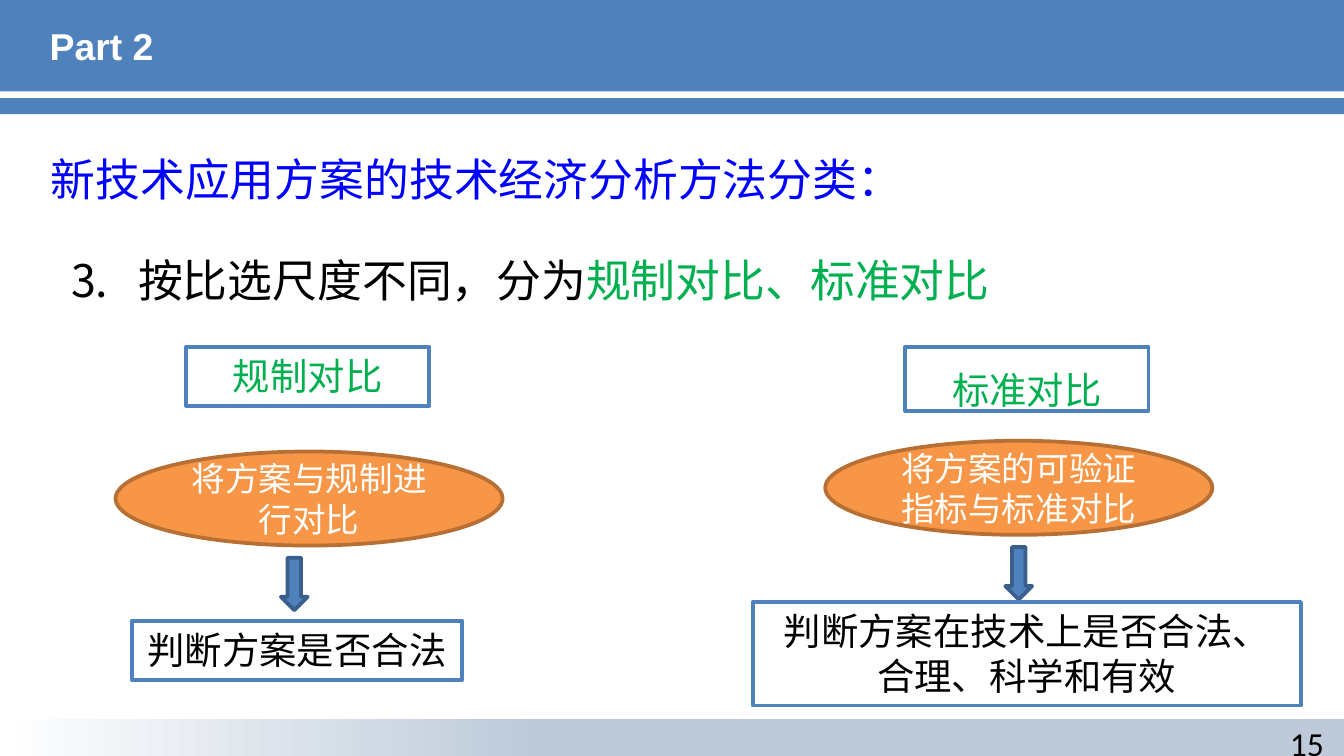
from lxml import etree
from pptx import Presentation
from pptx.dml.color import RGBColor
from pptx.enum.shapes import MSO_SHAPE
from pptx.enum.text import MSO_ANCHOR, PP_ALIGN
from pptx.oxml.ns import qn
from pptx.util import Inches, Pt

RECTANGLE, ELLIPSE, DOWN_ARROW = MSO_SHAPE.RECTANGLE, MSO_SHAPE.OVAL, MSO_SHAPE.DOWN_ARROW
LEFT, CENTER, RIGHT = PP_ALIGN.LEFT, PP_ALIGN.CENTER, PP_ALIGN.RIGHT
TOP, MIDDLE = MSO_ANCHOR.TOP, MSO_ANCHOR.MIDDLE

WIDTH, HEIGHT = 10, 10 * 9 / 16
CHINESE_FONT = "Noto Sans CJK SC"
BLUE, DARK_BLUE, ORANGE, BROWN = "4F81BD", "3A5F8C", "F79646", "B76F34"
WHITE, BLACK, GREEN, HEADING_BLUE, PALE_BLUE = "FFFFFF", "000000", "00B050", "0000FF", "BECAD9"

TITLE = "Part 2"
HEADING = "新技术应用方案的技术经济分析方法分类："
POINT = [("按比选尺度不同，分为", BLACK), ("规制对比、标准对比", GREEN)]
POINT_NUMBER = 3
PAGE_NUMBER = "15"

STYLES = {
    "method": (RECTANGLE, WHITE, BLUE, 20, GREEN, TOP),
    "action": (ELLIPSE, ORANGE, BROWN, 18, WHITE, MIDDLE),
    "arrow": (DOWN_ARROW, BLUE, DARK_BLUE, 18, WHITE, MIDDLE),
    "result": (RECTANGLE, WHITE, BLUE, 20, BLACK, TOP),
}
# style, text, centre, top, width, height, line spacing
FLOWS = [
    [
        ("method", "规制对比", 2.29, 2.58, 1.81, 0.44, 1),
        ("action", "将方案与规制进行对比", 2.3, 3.36, 2.88, 0.7, 1),
        ("arrow", "", 2.19, 4.15, 0.2, 0.39, 1),
        ("result", "判断方案是否合法", 2.21, 4.62, 2.46, 0.44, 1),
    ],
    [
        ("method", "标准对比", 7.64, 2.58, 1.81, 0.48, 1.3),
        ("action", "将方案的可验证指标与标准对比", 7.58, 3.28, 2.88, 0.7, 1),
        ("arrow", "", 7.58, 4.07, 0.2, 0.39, 1),
        ("result", "判断方案在技术上是否合法、合理、科学和有效", 7.64, 4.48, 4.08, 0.77, 1),
    ],
]


def color(value):
    """Turn a hex string into a colour."""
    return RGBColor.from_string(value)


def add_block(slide, kind, box, fill, line=None):
    """Add a preset shape with a flat fill and an optional outline."""
    shape = slide.shapes.add_shape(kind, *map(Inches, box))
    shape.shadow.inherit = False
    shape.fill.solid()
    shape.fill.fore_color.rgb = color(fill)
    if line:
        shape.line.color.rgb = color(line)
        shape.line.width = Pt(2)
    else:
        shape.line.fill.background()
    return shape


def write(shape, runs, size, align=LEFT, anchor=TOP, font=CHINESE_FONT, bold=False, spacing=1):
    """Write coloured runs into the first paragraph of a shape."""
    frame = shape.text_frame
    frame.word_wrap = True
    frame.vertical_anchor = anchor
    paragraph = frame.paragraphs[0]
    paragraph.alignment = align
    paragraph.line_spacing = spacing
    for text, text_color in runs:
        run = paragraph.add_run()
        run.text = text
        run.font.size = Pt(size)
        run.font.bold = bold
        run.font.name = font
        run.font.color.rgb = color(text_color)
        east_asian = etree.SubElement(run.font._element, qn("a:ea"))
        east_asian.set("typeface", font)
    return paragraph


def add_text(slide, box, runs, size, **options):
    """Add a text box holding one paragraph."""
    shape = slide.shapes.add_textbox(*map(Inches, box))
    return write(shape, runs, size, **options)


def number_paragraph(paragraph, start):
    """Give a paragraph a hanging automatic number."""
    properties = paragraph._p.get_or_add_pPr()
    properties.set("marL", str(Inches(0.5)))
    properties.set("indent", str(Inches(-0.5)))
    number = etree.SubElement(properties, qn("a:buAutoNum"))
    number.set("type", "arabicPeriod")
    number.set("startAt", str(start))


def add_frame(slide):
    """Add the header bands, title, footer band and page number."""
    add_block(slide, RECTANGLE, (0, 0, WIDTH, 0.68), BLUE)
    title = slide.shapes.title
    title.left, title.top, title.width, title.height = map(Inches, (0.27, 0.02, 9.45, 0.64))
    write(title, [(TITLE, WHITE)], 20, anchor=MIDDLE, font="Arial", bold=True)
    slide.shapes.element.append(title.element)

    footer = add_block(slide, RECTANGLE, (0, 5.35, WIDTH, HEIGHT - 5.35), PALE_BLUE)
    footer.fill.gradient()
    footer.fill.gradient_angle = 0
    for stop, (position, value) in zip(footer.fill.gradient_stops, [(0, WHITE), (0.4, PALE_BLUE)]):
        stop.position = position
        stop.color.rgb = color(value)

    add_block(slide, RECTANGLE, (0, 0.73, WIDTH, 0.12), BLUE)
    add_text(slide, (7.62, 5.33, 2.33, 0.3), [(PAGE_NUMBER, BLACK)], 18, align=RIGHT, font="Calibri")


def add_flow(slide, steps):
    """Add one column of the comparison from top to bottom."""
    for style, text, center, top, width, height, spacing in steps:
        kind, fill, line, size, text_color, anchor = STYLES[style]
        shape = add_block(slide, kind, (center - width / 2, top, width, height), fill, line)
        if text:
            write(shape, [(text, text_color)], size, CENTER, anchor, spacing=spacing)


def main():
    """Build the slide and save it."""
    presentation = Presentation()
    presentation.slide_width, presentation.slide_height = Inches(WIDTH), Inches(HEIGHT)
    slide = presentation.slides.add_slide(presentation.slide_layouts[5])
    add_frame(slide)
    add_text(slide, (0.28, 1.08, 7.24, 0.5), [(HEADING, HEADING_BLUE)], 24)
    point = add_text(slide, (0.43, 1.71, 8.58, 0.63), POINT, 24, spacing=1.3)
    number_paragraph(point, POINT_NUMBER)
    for steps in FLOWS:
        add_flow(slide, steps)
    presentation.save("out.pptx")


if __name__ == "__main__":
    main()
